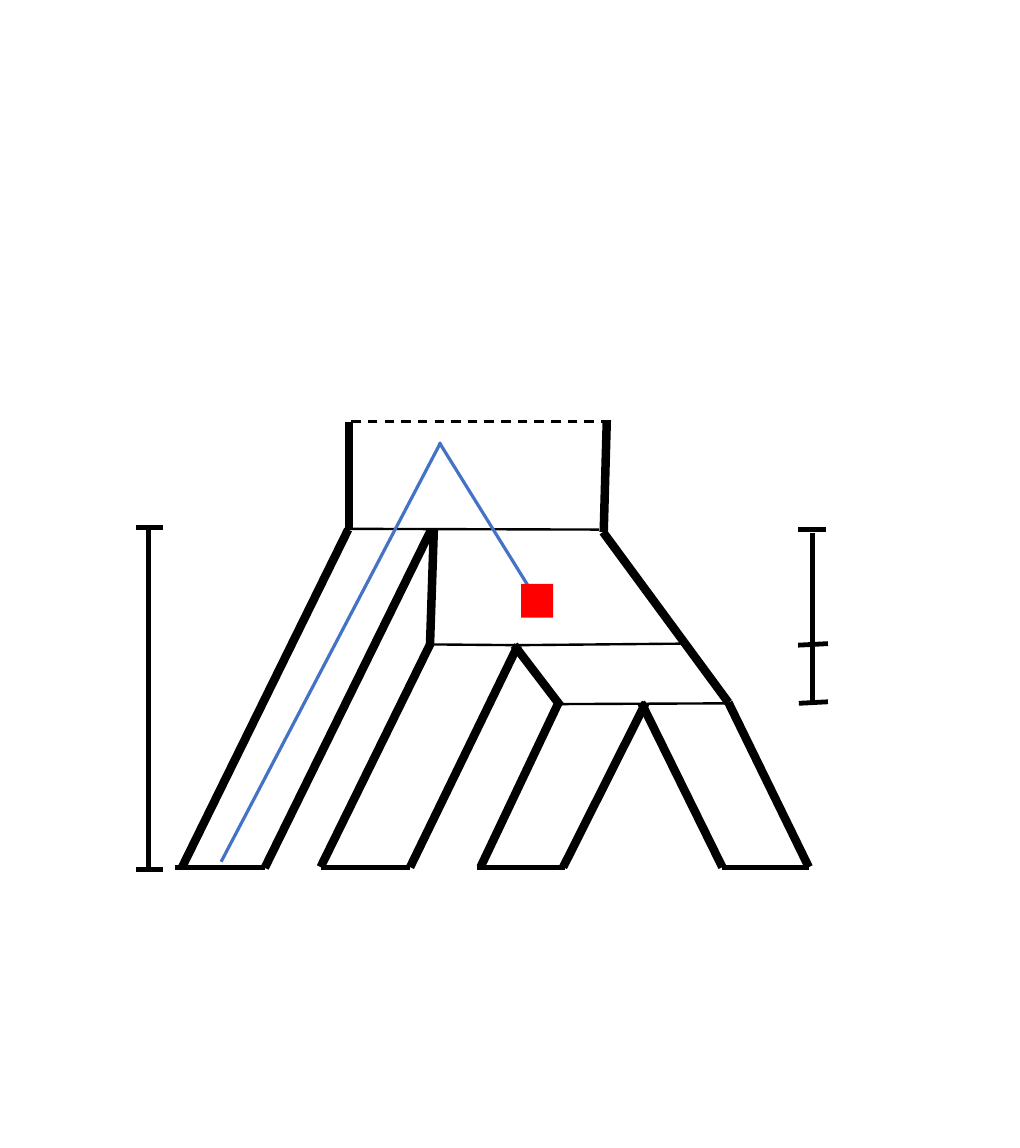
import pptx
import pptx.dml.color
import pptx.enum.dml
import pptx.enum.shapes
import pptx.oxml
import pptx.util

PX = 9144  # EMU per px, 100 px to the inch
SLIDE_WIDTH, SLIDE_HEIGHT = 1333, 1500
COLORS = {"outline": "000000", "lineage": "4472C4", "event": "FF0000"}

# Each line is (x1, y1, x2, y2) in px
TREE_WALLS = [
    (793, 549, 789, 695), (456, 551, 456, 692),      # stem
    (952, 918, 1057, 1133), (838, 918, 944, 1133),   # fourth branch
    (844, 918, 736, 1133), (730, 918, 628, 1133),    # third branch
    (788, 695, 952, 918), (672, 843, 733, 923),
    (677, 843, 536, 1133), (563, 840, 419, 1133),    # second branch
    (567, 692, 562, 842),
    (455, 692, 238, 1133), (563, 693, 346, 1134),    # first branch
]
BRANCH_TIPS = [
    (1057, 1133, 944, 1133), (738, 1133, 624, 1133),
    (536, 1133, 419, 1133), (346, 1134, 229, 1134),
]
SPLIT_LEVELS = [
    (952, 919, 730, 920), (891, 841, 677, 843),
    (558, 842, 677, 843), (783, 692, 454, 691),
]
STEM_TOP = [(798, 551, 457, 551)]
RIGHT_SCALE = [
    (1062, 696, 1062, 839), (1062, 841, 1062, 919),
    (1080, 692, 1043, 692), (1082, 841, 1043, 843), (1082, 917, 1044, 919),
]
LEFT_SCALE = [
    (194, 689, 194, 1138), (178, 689, 213, 689), (178, 1136, 213, 1136),
]
LINEAGE = [(576, 578, 289, 1126), (574, 578, 706, 791)]
EVENT_MARK = (681, 763, 42, 44)  # left, top, width, height

# Lines, colour, width in points, dashed
LINE_SETS = [
    (TREE_WALLS, "outline", 8, False),
    (BRANCH_TIPS, "outline", 4.5, False),
    (SPLIT_LEVELS, "outline", 2.25, False),
    (STEM_TOP, "outline", 2.25, True),
    (RIGHT_SCALE + LEFT_SCALE, "outline", 4.5, False),
    (LINEAGE, "lineage", 3, False),
]


def emu(lengths):
    return [length * PX for length in lengths]


def rgb(name):
    return pptx.dml.color.RGBColor.from_string(COLORS[name])


def draw_line(shapes, ends, color, width, dashed):
    segment = shapes.add_connector(
        pptx.enum.shapes.MSO_CONNECTOR.STRAIGHT, *emu(ends))
    segment.line.color.rgb = rgb(color)
    segment.line.width = pptx.util.Pt(width)
    if dashed:
        segment.line.dash_style = pptx.enum.dml.MSO_LINE.DASH
    segment._element.spPr.append(pptx.oxml.parse_xml(
        '<a:effectLst xmlns:a="http://schemas.openxmlformats.org/drawingml/2006/main"/>'))


def main():
    deck = pptx.Presentation()
    deck.slide_width, deck.slide_height = emu((SLIDE_WIDTH, SLIDE_HEIGHT))
    slide = deck.slides.add_slide(deck.slide_layouts[6])
    tree = slide.shapes.add_group_shape().shapes

    # Tree, scales and lineage path
    for lines, color, width, dashed in LINE_SETS:
        for ends in lines:
            draw_line(tree, ends, color, width, dashed)

    # Event at the end of the lineage path
    event = tree.add_shape(
        pptx.enum.shapes.MSO_SHAPE.RECTANGLE, *emu(EVENT_MARK))
    event.shadow.inherit = False
    event.fill.solid()
    event.fill.fore_color.rgb = rgb("event")
    event.line.fill.background()

    deck.save("out.pptx")


if __name__ == "__main__":
    main()
